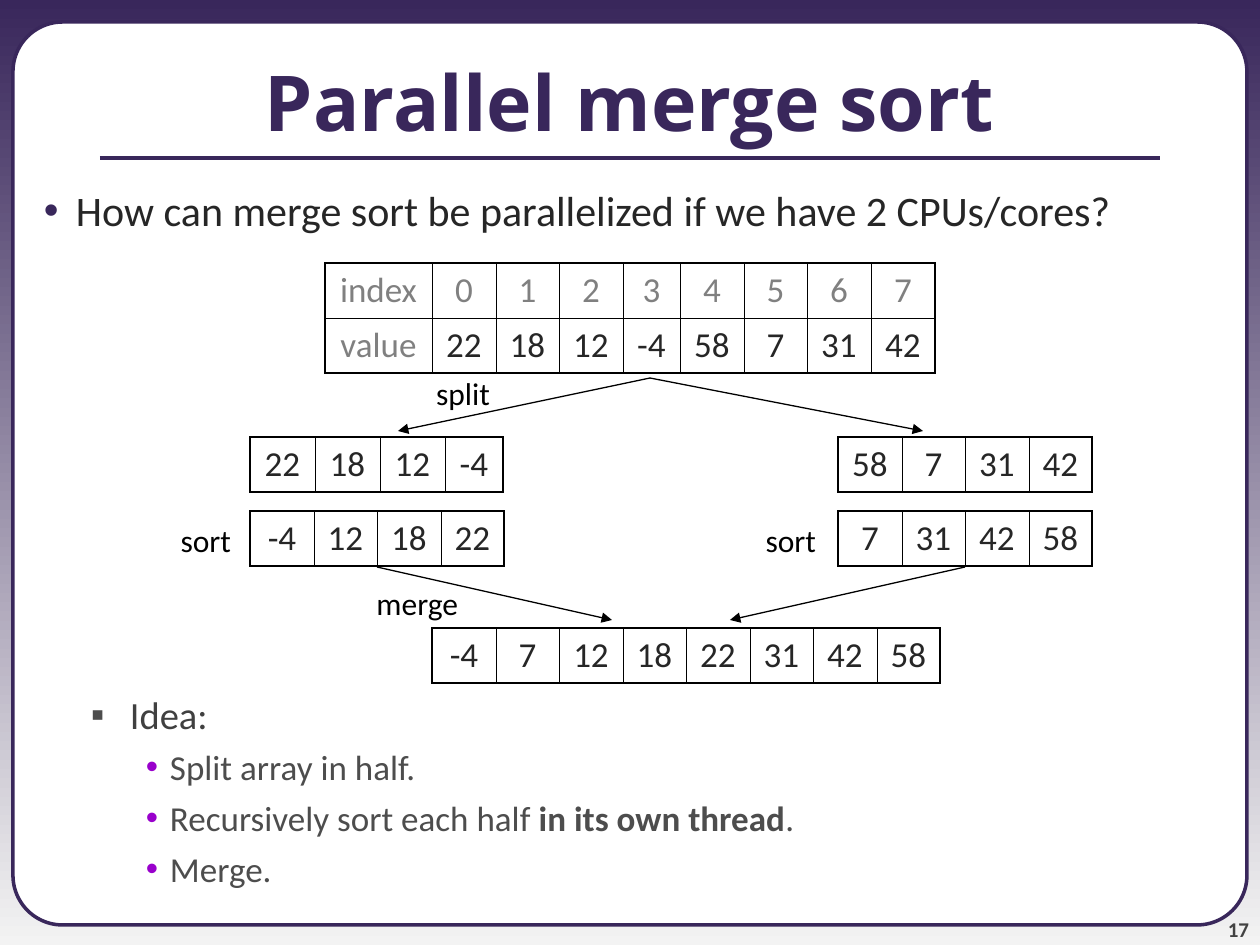
from dataclasses import dataclass

from lxml import etree
from pptx import Presentation
from pptx import util as u
from pptx.dml.color import RGBColor
from pptx.enum import shapes, text
from pptx.oxml import parse_xml
from pptx.oxml.ns import nsdecls, qn


@dataclass(frozen=True)
class Theme:
    purple: str = "39275B"
    pale: str = "F3F3F3"
    white: str = "FFFFFF"
    black: str = "000000"
    ink: str = "262626"
    idea: str = "404040"
    step: str = "4D4D4D"
    page: str = "424242"
    header: str = "808080"
    violet: str = "9900CC"
    heading_font: str = "Open Sans"
    body_font: str = "Calibri"
    title: int = 44
    question_size: int = 24
    idea_size: int = 22
    cell_size: int = 20
    label_size: int = 18
    page_size: int = 12
    outer_line: float = 1.08
    inner_line: float = 0.45


THEME = Theme()
ALIGN = text.PP_ALIGN


def px(*lengths):
    """Turn pixels (126 to the inch) into a list of EMU lengths."""
    return [round(length * u.Inches(1) / 126) for length in lengths]


def write(frame, content, size, color, font=THEME.body_font, bold=False,
          align=ALIGN.LEFT, before=0, bullet=None, bullet_color=None, indent=(0, 0)):
    """Add one paragraph; parts between asterisks are bold."""
    para = frame.paragraphs[0]
    if para.runs:
        para = frame.add_paragraph()
    para.alignment = align
    para.space_before = u.Pt(before)
    for number, part in enumerate(content.split("*")):
        run = para.add_run()
        run.text = part
        run.font.name = font
        run.font.size = u.Pt(size)
        run.font.bold = bold or number % 2 == 1
        run.font.color.rgb = RGBColor.from_string(color)
    if bullet:
        props = para._p.get_or_add_pPr()
        left, hanging = px(*indent)
        props.set("marL", str(left))
        props.set("indent", str(-hanging))
        tint = etree.SubElement(props, qn("a:buClr"))
        etree.SubElement(tint, qn("a:srgbClr"), val=bullet_color)
        etree.SubElement(props, qn("a:buFont"), typeface="Arial")
        etree.SubElement(props, qn("a:buChar"), char=bullet)


deck = Presentation()
deck.slide_width, deck.slide_height = px(1260, 945)
slide = deck.slides.add_slide(deck.slide_layouts[6])

# Background and framed panel
backdrop = slide.background.fill
backdrop.gradient()
backdrop.gradient_angle = 270
for stop, color, position in zip(backdrop.gradient_stops, (THEME.purple, THEME.pale), (0, 1)):
    stop.color.rgb = RGBColor.from_string(color)
    stop.position = position

panel = slide.shapes.add_shape(shapes.MSO_SHAPE.ROUNDED_RECTANGLE, *px(13, 22, 1234, 903))
panel.adjustments[0] = 0.055
panel.shadow.inherit = False
panel.fill.solid()
panel.fill.fore_color.rgb = RGBColor.from_string(THEME.white)
panel.line.color.rgb = RGBColor.from_string(THEME.purple)
panel.line.width = u.Pt(2)

# Title rule and arrows: ends, colour, width, arrowhead
for ends, color, width, has_head in (
    ((100, 158, 1160, 158), THEME.purple, 2.25, False),
    ((650, 378, 398, 431), THEME.black, 0.75, True),
    ((650, 378, 923, 431), THEME.black, 0.75, True),
    ((377, 567, 612, 620), THEME.black, 0.75, True),
    ((965, 567, 730, 620), THEME.black, 0.75, True),
):
    stroke = slide.shapes.add_connector(shapes.MSO_CONNECTOR.STRAIGHT, *px(*ends))
    stroke.line.color.rgb = RGBColor.from_string(color)
    stroke.line.width = u.Pt(width)
    if has_head:
        etree.SubElement(stroke.line._get_or_add_ln(), qn("a:tailEnd"), type="triangle")
    etree.SubElement(stroke._element.spPr, qn("a:effectLst"))

# Text: box, anchor, inset, paragraphs
TOP, MIDDLE, BOTTOM = (text.MSO_ANCHOR.TOP, text.MSO_ANCHOR.MIDDLE, text.MSO_ANCHOR.BOTTOM)
label = dict(size=THEME.label_size, color=THEME.black, align=ALIGN.RIGHT)
step = dict(size=THEME.cell_size, color=THEME.step, before=5, bullet="•",
            bullet_color=THEME.violet, indent=(157, 24))
texts = [
    ((0, 22, 1260, 157), MIDDLE, (13, 6), [
        ("Parallel merge sort", dict(size=THEME.title, color=THEME.purple, bold=True,
                                     font=THEME.heading_font, align=ALIGN.CENTER))]),
    ((0, 179, 1260, 70), TOP, (13, 6), [
        ("How can merge sort be parallelized if we have 2 CPUs/cores?",
         dict(size=THEME.question_size, color=THEME.ink, bullet="•",
              bullet_color=THEME.purple, indent=(63, 32)))]),
    ((0, 685, 1260, 220), TOP, (13, 6), [
        ("Idea:", dict(size=THEME.idea_size, color=THEME.idea, bullet="▪",
                       bullet_color=THEME.step, indent=(117, 39))),
        ("Split array in half.", step),
        ("Recursively sort each half *in its own thread*.", step),
        ("Merge.", step)]),
    ((1144, 892, 105, 50), BOTTOM, (0, 0), [
        ("17", dict(size=THEME.page_size, color=THEME.page, bold=True, align=ALIGN.RIGHT))]),
]
# Labels end at a right edge and leave spare room on the left
for word, right, top, width in (("split", 503, 368, 90), ("merge", 471, 578, 118),
                                ("sort", 244, 515, 87), ("sort", 829, 515, 87)):
    texts.append(((right - width, top, width, 50), TOP, (13, 6), [(word, label)]))

for box, anchor, inset, paragraphs in texts:
    frame = slide.shapes.add_textbox(*px(*box)).text_frame
    frame.word_wrap = True
    frame.vertical_anchor = anchor
    frame.margin_left, frame.margin_top = frame.margin_right, frame.margin_bottom = px(*inset)
    for content, style in paragraphs:
        write(frame, content, **style)

# Arrays: left, top, column widths, rows
ROW_HEIGHT = 55
PAIR = [64, 63]
arrays = [
    (325, 263, [107] + PAIR + [64, 57] + PAIR + [64, 64],
     ["index 0 1 2 3 4 5 6 7", "value 22 18 12 -4 58 7 31 42"]),
    (250, 437, [65, 65, 65, 58], ["22 18 12 -4"]),
    (838, 437, PAIR * 2, ["58 7 31 42"]),
    (432, 628, PAIR * 4, ["-4 7 12 18 22 31 42 58"]),
    (250, 511, PAIR * 2, ["-4 12 18 22"]),
    (838, 511, PAIR * 2, ["7 31 42 58"]),
]
for left, top, widths, rows in arrays:
    grid = slide.shapes.add_table(
        len(rows), len(widths), *px(left, top, sum(widths), ROW_HEIGHT * len(rows))).table
    grid.first_row = grid.horz_banding = False
    for column, width in zip(grid.columns, px(*widths)):
        column.width = width
    last_row, last_column = len(rows) - 1, len(widths) - 1
    for r, row in enumerate(rows):
        for c, value in enumerate(row.split()):
            cell = grid.cell(r, c)
            is_header = len(rows) > 1 and (r == 0 or c == 0)
            write(cell.text_frame, value, THEME.cell_size,
                  THEME.header if is_header else THEME.ink, align=ALIGN.CENTER)
            props = cell._tc.get_or_add_tcPr()
            for side, is_outer in (("L", c == 0), ("R", c == last_column),
                                   ("T", r == 0), ("B", r == last_row)):
                weight = u.Pt(THEME.outer_line if is_outer else THEME.inner_line)
                props.append(parse_xml(
                    f'<a:ln{side} {nsdecls("a")} w="{weight}"><a:solidFill>'
                    f'<a:srgbClr val="{THEME.black}"/></a:solidFill></a:ln{side}>'))
            cell.fill.background()

deck.save("out.pptx")
